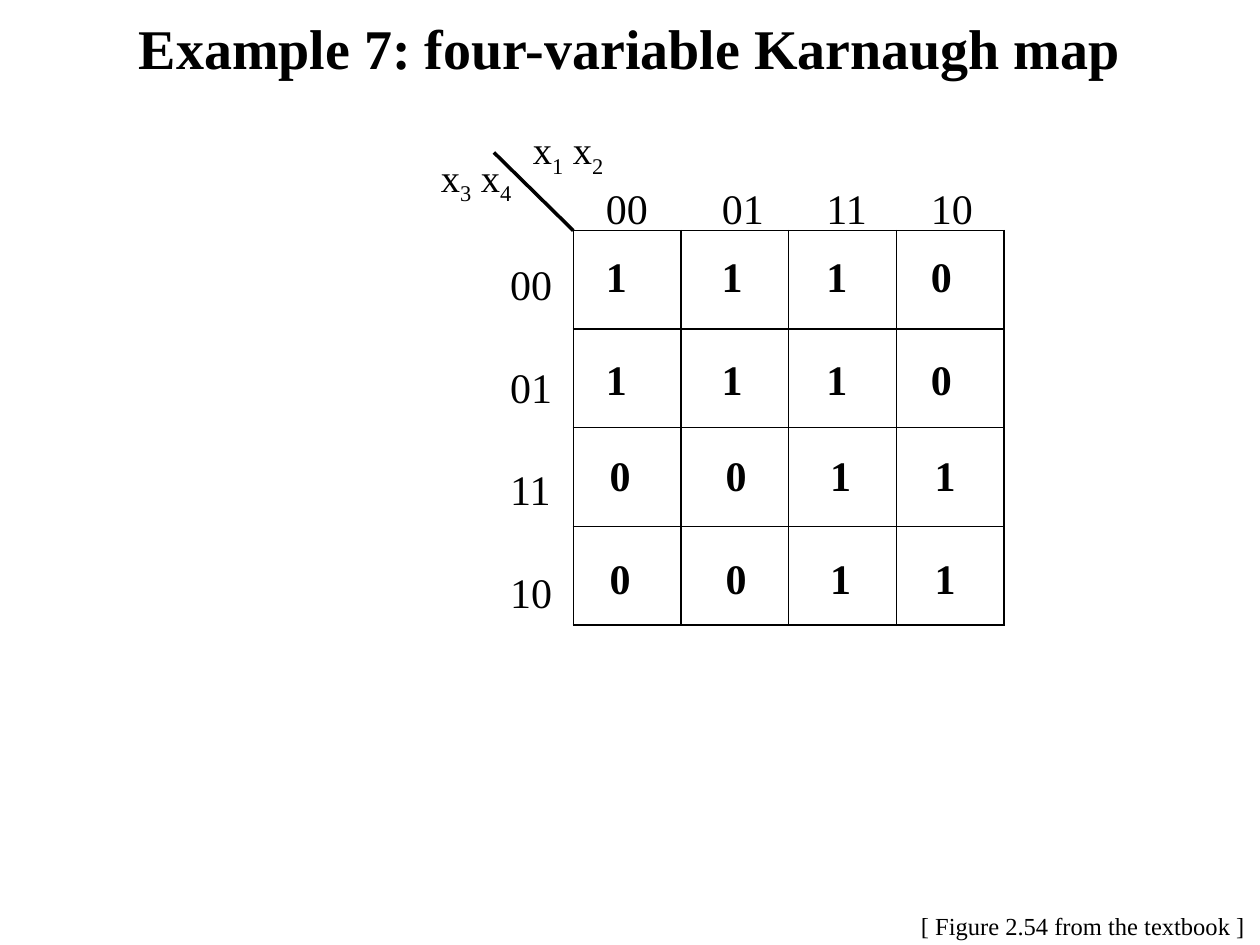
from pptx import Presentation
from pptx.dml.color import RGBColor
from pptx.enum import shapes, text
from pptx.oxml import parse_xml
from pptx.oxml.ns import nsdecls, qn
from pptx.util import Inches, Pt

BLACK = RGBColor(0, 0, 0)
FONT = "Times New Roman"
STOPS = (0.92, 1.75, 2.58)


class Sheet:
    def __init__(self, slide):
        self.slide = slide

    def box(self, left, top, width, height, wrap=True, inset=True):
        shape = self.slide.shapes.add_textbox(
            Inches(left), Inches(top), Inches(width), Inches(height))
        frame = shape.text_frame
        frame.word_wrap = wrap
        if not inset:
            frame.margin_left = frame.margin_right = 0
            frame.margin_top = frame.margin_bottom = 0
        return frame

    def style(self, font, size, bold=False):
        font.name = FONT
        font.size = Pt(size)
        font.bold = bold
        font.color.rgb = BLACK

    def label(self, place, words, size, bold=False, wrap=True):
        frame = self.box(*place, wrap=wrap)
        frame.text = words
        self.style(frame.paragraphs[0].runs[0].font, size, bold)
        return frame

    def rows(self, place, rows, bold=False):
        """Write rows of values, set in columns by tab stops."""
        frame = self.box(*place)
        frame.text = "\n".join("\t".join(row) for row in rows)
        for i, para in enumerate(frame.paragraphs):
            if i:
                para.space_before = Pt(30)
            if len(rows[i]) > 1:
                tabs = "".join(f'<a:tab pos="{Inches(stop)}" algn="l"/>'
                               for stop in STOPS)
                para._p.get_or_add_pPr().append(parse_xml(
                    f'<a:tabLst {nsdecls("a")}>{tabs}</a:tabLst>'))
            for run in para.runs:
                self.style(run.font, 24, bold)

    def pair(self, left, top, first, second):
        """Write two x variables with subscripts."""
        para = self.box(left, top, 0.67, 0.37, False, False).paragraphs[0]
        for word, low in (("x", 0), (first, 1), (" x", 0), (second, 1)):
            run = para.add_run()
            run.text = word
            self.style(run.font, 22)
            if low:
                run._r.get_or_add_rPr().set("baseline", "-25000")

    def line(self, start, end, width):
        line = self.slide.shapes.add_connector(
            shapes.MSO_CONNECTOR.STRAIGHT, *map(Inches, start + end))
        line.line.color.rgb = BLACK
        line.line.width = Pt(width)
        line._element.spPr.append(
            parse_xml(f'<a:effectLst {nsdecls("a")}/>'))

    def grid(self, left, top, width, height, count):
        table = self.slide.shapes.add_table(
            count, count, Inches(left), Inches(top),
            Inches(width), Inches(height)).table
        table.first_row = table.horz_banding = False
        for cell in table.iter_cells():
            props = cell._tc.get_or_add_tcPr()
            for side in "LRTB":
                props.append(parse_xml(
                    f'<a:ln{side} {nsdecls("a")} w="{Pt(1)}"><a:solidFill>'
                    f'<a:srgbClr val="{BLACK}"/></a:solidFill></a:ln{side}>'))
            cell.fill.background()


def main():
    deck = Presentation()
    deck.slide_width, deck.slide_height = Inches(10), Inches(7.5)
    sheet = Sheet(deck.slides.add_slide(deck.slide_layouts[6]))

    sheet.label((7.21, 7.18, 2.79, 0.34),
                "[ Figure 2.54 from the textbook ]", 14, wrap=False)
    title = sheet.label((0, 0, 10, 0.75),
                        "Example 7: four-variable Karnaugh map", 32, True)
    title.vertical_anchor = text.MSO_ANCHOR.MIDDLE
    title.paragraphs[0].alignment = text.PP_ALIGN.CENTER

    sheet.grid(4.55, 1.83, 3.42, 3.13, 4)
    sheet.line((3.92, 1.21), (4.55, 1.83), 2)
    sheet.pair(4.23, 1, "1", "2")
    sheet.pair(3.5, 1.22, "3", "4")

    codes = ["00", "01", "11", "10"]
    sheet.rows((4.71, 1.4, 3.25, 0.5), [codes])
    sheet.rows((3.95, 2, 0.62, 2.93), [[code] for code in codes])
    sheet.rows((4.71, 1.94, 2.96, 1.31), ["1110"] * 2, True)
    sheet.rows((4.74, 3.52, 2.96, 1.31), ["0011"] * 2, True)
    deck.save("out.pptx")


if __name__ == "__main__":
    main()
